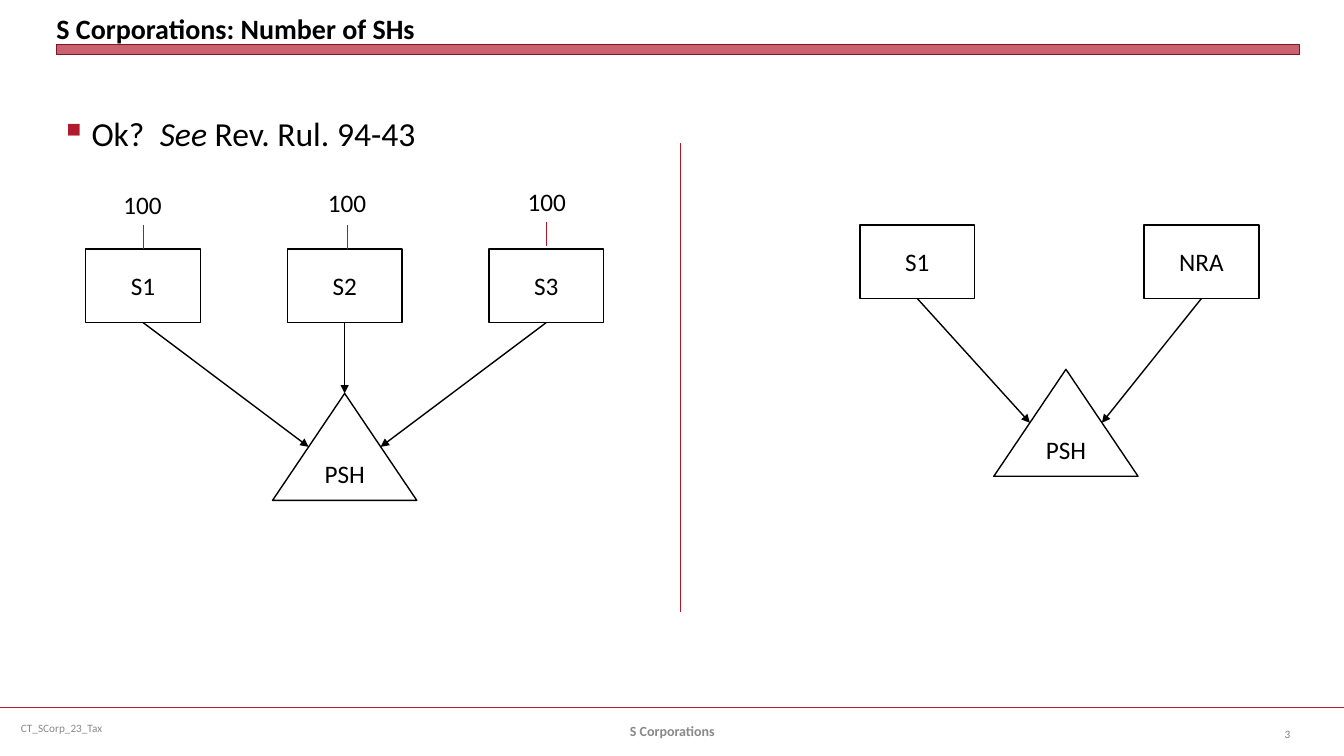
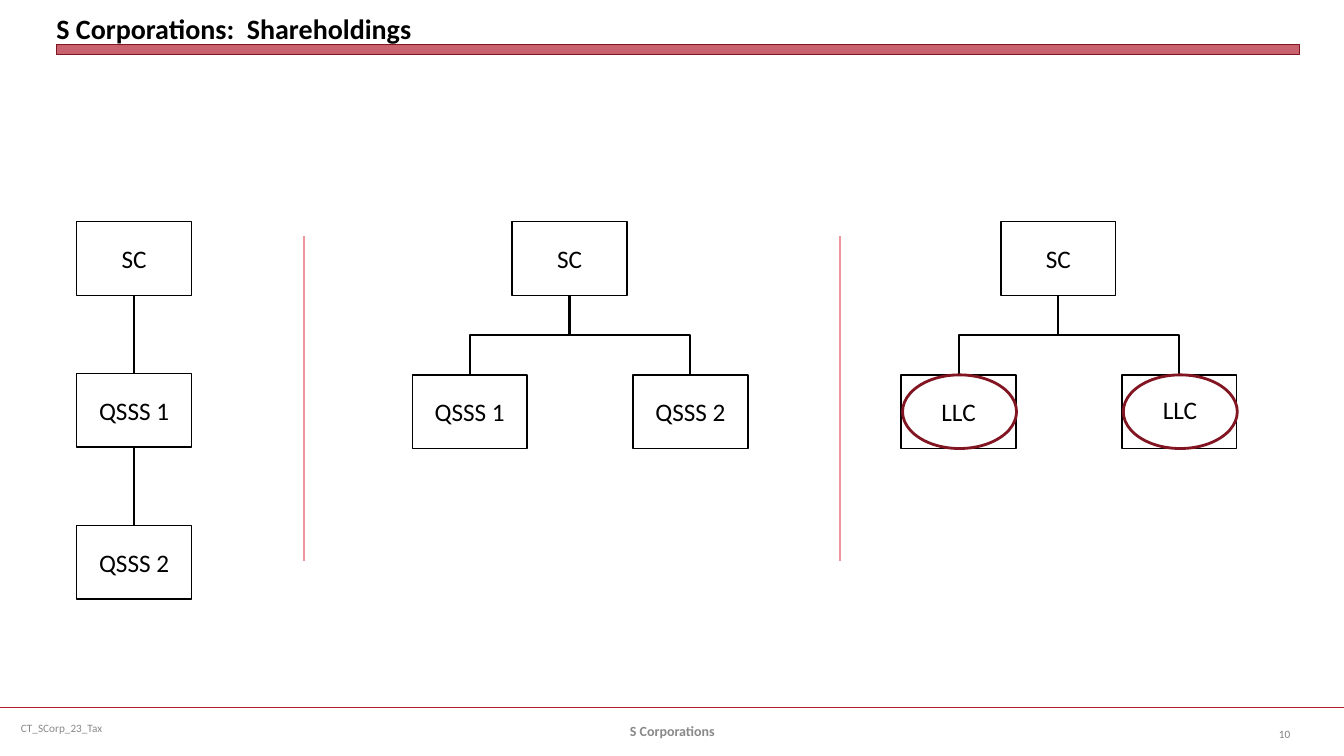
from lxml.etree import SubElement
from pptx import Presentation
from pptx.dml.color import RGBColor
from pptx.enum.shapes import MSO_CONNECTOR, MSO_SHAPE
from pptx.enum.text import MSO_ANCHOR, MSO_AUTO_SIZE, PP_ALIGN
from pptx.oxml.ns import qn
from pptx.util import Pt

COLORS = {
    "ink": "000000",
    "rule": "B01C2E",
    "divider": "B0182A",
    "pale divider": "EE95A0",
    "dark red": "821522",
    "footer": "898989",
    "number": "808080",
}
FORMATS = {
    "title": {"size": Pt(20), "bold": True},
    "body": {"size": Pt(24)},
    "label": {"size": Pt(18)},
    "footer": {"size": Pt(10), "bold": True},
    "small": {"size": Pt(8)},
}
SLIDE_W, SLIDE_H = 960, 540
MARGIN, CONTENT_W = 40.3, 887.8
BOX_W, BOX_H = 82, 52.6
TRIANGLE_W, TRIANGLE_H = 103, 76.4


def add_block(slide, kind, area, text="", style="label", color="ink",
              align=PP_ALIGN.CENTER, anchor=MSO_ANCHOR.MIDDLE, outline=("ink", 1)):
    """Add an unfilled outlined shape, or a text box when kind is None."""
    area = [Pt(length) for length in area]
    if kind is None:
        block = slide.shapes.add_textbox(*area)
    else:
        block = slide.shapes.add_shape(kind, *area)
        block.shadow.inherit = False
        block.fill.background()
        block.line.color.rgb = RGBColor.from_string(COLORS[outline[0]])
        block.line.width = Pt(outline[1])
    if text:
        frame = block.text_frame
        frame.word_wrap = True
        frame.vertical_anchor = anchor
        paragraph = frame.paragraphs[0]
        paragraph.alignment = align
        run = paragraph.add_run()
        run.text = text
        run.font.name = "Calibri"
        run.font.color.rgb = RGBColor.from_string(COLORS[color])
        for name, value in FORMATS[style].items():
            setattr(run.font, name, value)
    return block


def add_line(slide, start, end, color="ink", width=1.0, arrow=False, kind=MSO_CONNECTOR.STRAIGHT):
    line = slide.shapes.add_connector(kind, *[Pt(length) for length in (*start, *end)])
    line.line.color.rgb = RGBColor.from_string(COLORS[color])
    line.line.width = Pt(width)
    if arrow:
        SubElement(line.line._get_or_add_ln(), qn("a:tailEnd"), type="triangle")
    SubElement(line._element.spPr, qn("a:effectLst"))
    return line


deck = Presentation()
deck.slide_width, deck.slide_height = Pt(SLIDE_W), Pt(SLIDE_H)

# Shared frame: title, band, footer rule and footer texts
slides = []
for title, number in (("S Corporations: Number of SHs", "3"),
                      ("S Corporations:  Shareholdings", "10")):
    slide = deck.slides.add_slide(deck.slide_layouts[6])
    slides.append(slide)
    add_line(slide, (0, 505.4), (SLIDE_W, 505.4), "rule", 1.25)
    band = add_block(slide, MSO_SHAPE.RECTANGLE, (MARGIN, 32, CONTENT_W, 7.2),
                     outline=("dark red", 0))
    band.fill.solid()
    band.fill.fore_color.rgb = RGBColor.from_string(COLORS["rule"])
    band_color = band._element.spPr.find(qn("a:solidFill"))[0]
    SubElement(band_color, qn("a:alpha"), val="69000")

    heading = add_block(slide, None, (MARGIN, 3.6, CONTENT_W, 28.8), title, "title",
                        align=PP_ALIGN.LEFT, anchor=MSO_ANCHOR.BOTTOM)
    for side in ("left", "top", "right", "bottom"):
        setattr(heading.text_frame, f"margin_{side}", 0)
    add_block(slide, None, (7.9, 505.4, 247.7, 28.8), "CT_SCorp_23_Tax", "small",
              "footer", PP_ALIGN.LEFT)
    add_block(slide, None, (328.3, 507.6, 303.8, 28.8), "S Corporations", "footer", "footer")
    add_block(slide, None, (880.6, 509.8, 48.2, 28.8), number, "small", "number",
              PP_ALIGN.RIGHT)

shareholders, shareholdings = slides

# Slide 1: question and two partnership diagrams
question = add_block(shareholders, None, (MARGIN, 77, CONTENT_W, 40), "Ok?  ", "body",
                     align=PP_ALIGN.JUSTIFY, anchor=MSO_ANCHOR.TOP)
paragraph = question.text_frame.paragraphs[0]
for text, italic in (("See ", True), ("Rev. Rul. 94-43", False)):
    run = paragraph.add_run()
    run.text = text
    run.font.name = "Calibri"
    run.font.size = FORMATS["body"]["size"]
    run.font.italic = italic
    run.font.color.rgb = RGBColor.from_string(COLORS["ink"])
bullet = paragraph._p.get_or_add_pPr()
bullet.set("marL", str(Pt(18)))
bullet.set("indent", str(-Pt(18)))
SubElement(SubElement(bullet, qn("a:buClr")), qn("a:srgbClr"), val=COLORS["rule"])
SubElement(bullet, qn("a:buSzPct"), val="60000")
SubElement(bullet, qn("a:buChar"), char="■")

add_line(shareholders, (486, 102.2), (486, 437), "divider", 0.75)

# Each owner: name, centre, and where its arrow meets the triangle (-1 left, 0 top, 1 right)
partnerships = (
    (177.8, 246.2, (("S1", 102.2, -1), ("S2", 246.2, 0), ("S3", 390.2, 1))),
    (160.6, 761.4, (("S1", 655.2, -1), ("NRA", 858.2, 1))),
)
for top, partnership_x, owners in partnerships:
    triangle_top = top + 103.2
    add_block(shareholders, MSO_SHAPE.ISOSCELES_TRIANGLE,
              (partnership_x - TRIANGLE_W / 2, triangle_top, TRIANGLE_W, TRIANGLE_H), "PSH")
    for owner, x, side in owners:
        box = add_block(shareholders, MSO_SHAPE.RECTANGLE,
                        (x - BOX_W / 2, top, BOX_W, BOX_H), owner)
        target = (partnership_x + side * TRIANGLE_W / 4,
                  triangle_top + abs(side) * TRIANGLE_H / 2)
        arrow = add_line(shareholders, (x, top + BOX_H), target, arrow=True)
        arrow.begin_connect(box, 2)

for count_x, count_top, tick_x, tick_top in ((101.9, 131.8, 102.2, 160.6),
                                             (248, 130.3, 248.4, 160.6),
                                             (390.6, 129.6, 390.2, 158.4)):
    count = add_block(shareholders, None, (count_x - 21.2, count_top, 42.4, 29), "100",
                      anchor=MSO_ANCHOR.TOP)
    count.text_frame.word_wrap = False
    count.text_frame.auto_size = MSO_AUTO_SIZE.SHAPE_TO_FIT_TEXT
    add_line(shareholders, (tick_x, tick_top), (tick_x, tick_top + 17.2), "divider", 0.75)

# Slide 2: one chain and two trees
PARENT_TOP, CHILD_TOP = 158.4, 267.8
upper = None
for level, company in enumerate(("SC", "QSSS 1", "QSSS 2")):
    top = PARENT_TOP + 108.4 * level
    box = add_block(shareholdings, MSO_SHAPE.RECTANGLE,
                    (95.8 - BOX_W / 2, top, BOX_W, BOX_H), company)
    if upper:
        link = add_line(shareholdings, (95.8, top - 55.8), (95.8, top), width=1.5)
        link.begin_connect(upper, 2)
        link.end_connect(box, 0)
    upper = box

drop = CHILD_TOP - PARENT_TOP - BOX_H
for parent_x, children in ((406.8, ("QSSS 1", "QSSS 2")), (756, ("LLC", ""))):
    add_block(shareholdings, MSO_SHAPE.RECTANGLE,
              (parent_x - BOX_W / 2, PARENT_TOP, BOX_W, BOX_H), "SC")
    for company, shift in zip(children, (-71.3, 86.4)):
        child_x = parent_x + shift
        add_block(shareholdings, MSO_SHAPE.RECTANGLE,
                  (child_x - BOX_W / 2, CHILD_TOP, BOX_W, BOX_H), company)
        # An elbow leaves sideways, so lay it out flat and turn it to run downwards
        middle_x, middle_y = parent_x + shift / 2, CHILD_TOP - drop / 2
        half_w = drop / 2 if shift < 0 else -drop / 2
        half_h = abs(shift) / 2
        elbow = add_line(shareholdings, (middle_x - half_w, middle_y - half_h),
                         (middle_x + half_w, middle_y + half_h), width=1.5,
                         kind=MSO_CONNECTOR.ELBOW)
        turn = 90 if shift < 0 else 270
        elbow._element.spPr.find(qn("a:xfrm")).set("rot", str(turn * 60000))
        if "LLC" in children:
            add_block(shareholdings, MSO_SHAPE.OVAL,
                      (child_x - BOX_W / 2 + 1, CHILD_TOP, 81.4, BOX_H),
                      outline=("dark red", 2))

second_llc = add_block(shareholdings, None, (823, 277.9, 39.6, 29), "LLC",
                       anchor=MSO_ANCHOR.TOP)
second_llc.text_frame.word_wrap = False
second_llc.text_frame.auto_size = MSO_AUTO_SIZE.SHAPE_TO_FIT_TEXT

for x in (217.4, 599.8):
    add_line(shareholdings, (x, 168.5), (x, 401), "pale divider", 1.5)

deck.save("out.pptx")
